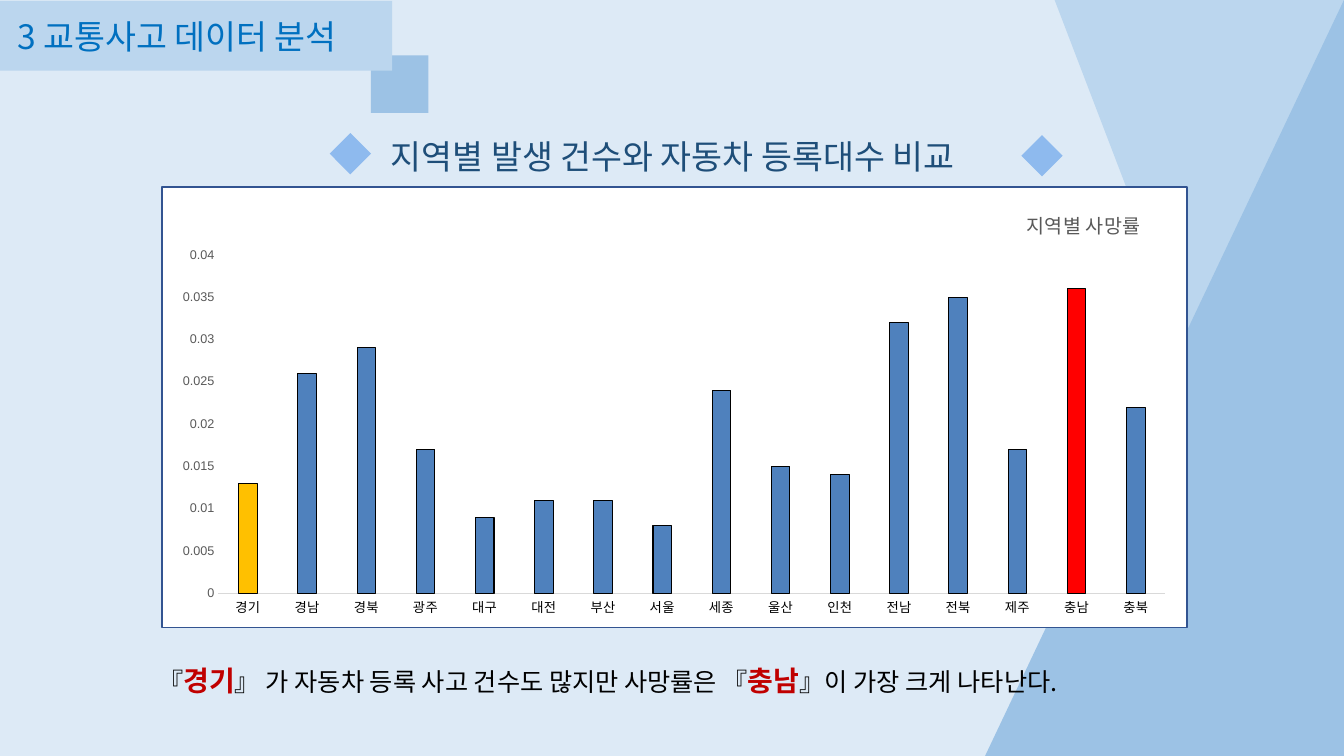
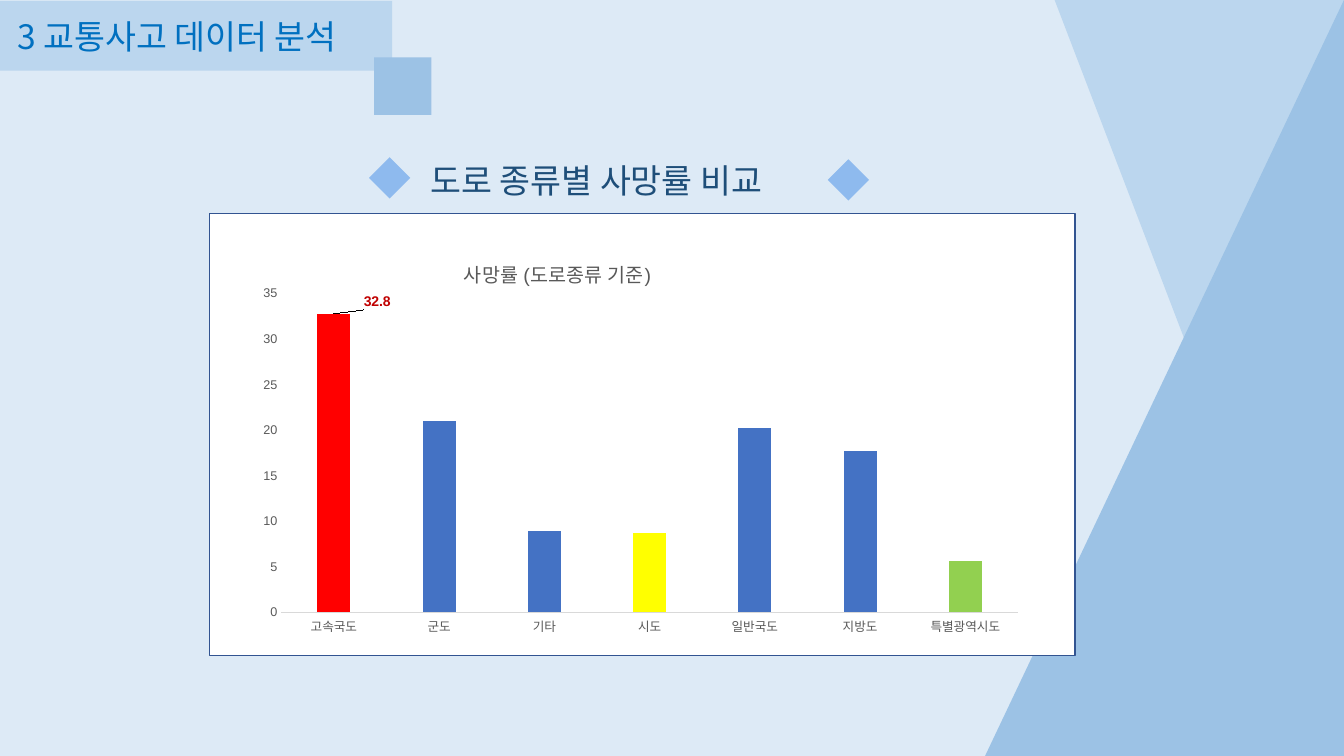
import lxml.etree
import pptx
import pptx.chart.data
import pptx.dml.color
import pptx.enum.chart
import pptx.enum.shapes
import pptx.enum.text
import pptx.oxml
import pptx.oxml.ns
import pptx.util

WIDTH, HEIGHT = 13.33, 7.5
BACKGROUND, PALE, MIDDLE, DIAMOND = "DDEAF6", "BBD6EE", "9CC2E5", "8EBAEE"
BANNER_TEXT, HEADING_TEXT, ACCENT = "0070C0", "1E4E79", "C00000"
BLACK, WHITE, GREY, AXIS_LINE, BORDER = "000000", "FFFFFF", "595959", "D9D9D9", "325491"
KOREAN, LATIN = "Noto Sans CJK KR", "Arial"
SHAPE = pptx.enum.shapes.MSO_SHAPE
SPACES = (
    'xmlns:c="http://schemas.openxmlformats.org/drawingml/2006/chart" '
    'xmlns:a="http://schemas.openxmlformats.org/drawingml/2006/main"'
)


def color(value):
    return pptx.dml.color.RGBColor.from_string(value)


def inches(*lengths):
    return [pptx.util.Inches(length) for length in lengths]


def style_font(font, size, fill, latin=LATIN, bold=False):
    font.size = pptx.util.Pt(size)
    font.bold = bold
    font.name = latin
    font.color.rgb = color(fill)


def add_span(para, text, size, fill, latin=KOREAN, bold=False):
    span = para.add_run()
    span.text = text
    style_font(span.font, size, fill, latin, bold)
    east_asian = lxml.etree.SubElement(span.font._element, pptx.oxml.ns.qn("a:ea"))
    east_asian.set("typeface", KOREAN)


def add_block(page, kind, box, fill, rotation=0):
    shape = page.shapes.add_shape(kind, *inches(*box))
    shape.shadow.inherit = False
    shape.fill.solid()
    shape.fill.fore_color.rgb = color(fill)
    shape.line.fill.background()
    shape.rotation = rotation
    return shape


def add_text(page, box, spans):
    frame = page.shapes.add_textbox(*inches(*box)).text_frame
    frame.word_wrap = True
    for span in spans:
        add_span(frame.paragraphs[0], *span)


def add_triangles(page):
    """Two right triangles that fill the right edge from top to bottom."""
    narrow, wide = 2.87, 3.56
    add_block(page, SHAPE.RIGHT_TRIANGLE, (WIDTH - narrow, 0, narrow, HEIGHT), PALE, 180)
    left = WIDTH - wide / 2 - HEIGHT / 2
    top = (HEIGHT - wide) / 2
    add_block(page, SHAPE.RIGHT_TRIANGLE, (left, top, HEIGHT, wide), MIDDLE, 270)


def add_banner(page):
    banner = add_block(page, SHAPE.RECTANGLE, (0, 0.01, 3.89, 0.69), PALE)
    frame = banner.text_frame
    frame.margin_left = pptx.util.Inches(0.17)
    frame.vertical_anchor = pptx.enum.text.MSO_ANCHOR.MIDDLE
    para = frame.paragraphs[0]
    para.alignment = pptx.enum.text.PP_ALIGN.LEFT
    add_span(para, "3 교통사고 데이터 분석", 24, BANNER_TEXT)


def add_square(page, left, top):
    add_block(page, SHAPE.RECTANGLE, (left, top, 0.57, 0.57), MIDDLE)


def add_heading(page, left, top, width, text):
    """A heading with a diamond at each end of its box."""
    size = 0.41
    add_block(page, SHAPE.DIAMOND, (left, top + 0.02, size, size), DIAMOND)
    add_text(page, (left + 0.51, top, width - 0.84, 0.5), [(text, 24, HEADING_TEXT, LATIN)])
    add_block(page, SHAPE.DIAMOND, (left + width - size, top + 0.04, size, size), DIAMOND)


def layout_xml(left, top, size=None, edge=True):
    """Manual chart layout, in shares of the chart's box."""
    parts = ['<c:layoutTarget val="inner"/>'] if size else []
    if edge:
        parts += ['<c:xMode val="edge"/>', '<c:yMode val="edge"/>']
    parts.append(f'<c:x val="{left}"/><c:y val="{top}"/>')
    if size:
        parts.append(f'<c:w val="{size[0]}"/><c:h val="{size[1]}"/>')
    return pptx.oxml.parse_xml(
        f"<c:layout {SPACES}><c:manualLayout>{''.join(parts)}</c:manualLayout></c:layout>"
    )


def set_layout(parent, index, layout):
    for old in parent.findall(pptx.oxml.ns.qn("c:layout")):
        parent.remove(old)
    parent.insert(index, layout)


def frame_chart(chart):
    chart._chartSpace.find(pptx.oxml.ns.qn("c:chart")).addnext(pptx.oxml.parse_xml(
        f'<c:spPr {SPACES}><a:solidFill><a:srgbClr val="{WHITE}"/></a:solidFill>'
        f'<a:ln w="12700"><a:solidFill><a:srgbClr val="{BORDER}"/></a:solidFill></a:ln></c:spPr>'
    ))


def style_axes(chart, top_value, step, category_size, category_fill):
    value_axis, category_axis = chart.value_axis, chart.category_axis
    value_axis.minimum_scale, value_axis.maximum_scale = 0, top_value
    value_axis.major_unit = step
    value_axis.has_major_gridlines = False
    value_axis.format.line.fill.background()
    category_axis.format.line.color.rgb = color(AXIS_LINE)
    category_axis.format.line.width = pptx.util.Pt(0.75)
    for axis in (value_axis, category_axis):
        axis.major_tick_mark = pptx.enum.chart.XL_TICK_MARK.NONE
    style_font(value_axis.tick_labels.font, 9, GREY)
    style_font(category_axis.tick_labels.font, category_size, category_fill)


def add_columns(page, box, title, title_at, plot_at, values, fill, highlights,
                top_value, step, category_size=9, category_fill=GREY, overlap=0):
    data = pptx.chart.data.CategoryChartData()
    data.categories = list(values)
    data.add_series("Series 1", list(values.values()))
    chart = page.shapes.add_chart(
        pptx.enum.chart.XL_CHART_TYPE.COLUMN_CLUSTERED, *inches(*box), data
    ).chart
    style_font(chart.font, 10, BLACK)
    frame_chart(chart)
    chart.has_legend = False
    chart.has_title = True
    add_span(chart.chart_title.text_frame.paragraphs[0], title, 14, GREY, LATIN)
    set_layout(chart.chart_title._element, 1, layout_xml(*title_at))
    set_layout(chart._chartSpace.chart.plotArea, 0, layout_xml(*plot_at))
    style_axes(chart, top_value, step, category_size, category_fill)
    plot = chart.plots[0]
    plot.vary_by_categories = False
    plot.gap_width = 219
    plot.overlap = overlap
    series = plot.series[0]
    series.format.fill.solid()
    series.format.fill.fore_color.rgb = color(fill)
    names = list(values)
    for name, highlight in highlights.items():
        point_fill = series.points[names.index(name)].format.fill
        point_fill.solid()
        point_fill.fore_color.rgb = color(highlight)
    return series


def outline_columns(series, count):
    for item in [series] + [series.points[index] for index in range(count)]:
        item.format.line.color.rgb = color(BLACK)
        item.format.line.width = pptx.util.Pt(0.75)


def label_first_column(series):
    """Show the first value beside its column, with a leader line."""
    series.data_labels.show_value = False
    label = series.points[0].data_label
    style_font(label.font, 10, ACCENT, bold=True)
    label.position = pptx.enum.chart.XL_LABEL_POSITION.OUTSIDE_END
    labels = series.data_labels._element
    set_layout(labels.find(pptx.oxml.ns.qn("c:dLbl")), 1, layout_xml(0.05, 0, edge=False))
    tag = pptx.oxml.ns.qn("c:showLeaderLines")
    leader = labels.find(tag)
    if leader is None:
        leader = lxml.etree.SubElement(labels, tag)
    leader.set("val", "1")


def new_page(deck):
    page = deck.slides.add_slide(deck.slide_layouts[6])
    page.background.fill.solid()
    page.background.fill.fore_color.rgb = color(BACKGROUND)
    return page


def build_region_page(deck):
    page = new_page(deck)
    add_square(page, 3.68, 0.55)
    add_triangles(page)
    add_banner(page)
    add_heading(page, 3.27, 1.3, 7.27, "지역별 발생 건수와 자동차 등록대수 비교")
    rates = {
        "경기": 0.013, "경남": 0.026, "경북": 0.029, "광주": 0.017,
        "대구": 0.009, "대전": 0.011, "부산": 0.011, "서울": 0.008,
        "세종": 0.024, "울산": 0.015, "인천": 0.014, "전남": 0.032,
        "전북": 0.035, "제주": 0.017, "충남": 0.036, "충북": 0.022,
    }
    series = add_columns(
        page, (1.6, 1.85, 10.18, 4.38), "지역별 사망률", (0.84, 0.04),
        (0.055, 0.154, (0.924, 0.769)), rates, "0070C0",
        {"경기": "FFC000", "충남": "FF0000"}, 0.04, 0.005, 9.5, BLACK,
    )
    outline_columns(series, len(rates))
    add_text(page, (1.47, 6.53, 9.76, 0.44), [
        ("『", 18, BLACK),
        ("경기", 20, ACCENT, KOREAN, True),
        ("』 가 자동차 등록 사고 건수도 많지만 사망률은 『", 18, BLACK),
        ("충남", 20, ACCENT, KOREAN, True),
        ("』이 가장 크게 나타난다.", 18, BLACK),
    ])


def build_road_page(deck):
    page = new_page(deck)
    add_banner(page)
    add_triangles(page)
    add_square(page, 3.71, 0.57)
    add_heading(page, 3.66, 1.54, 4.96, "도로 종류별 사망률 비교")
    rates = {
        "고속국도": 32.8, "군도": 21, "기타": 8.9, "시도": 8.7,
        "일반국도": 20.3, "지방도": 17.7, "특별광역시도": 5.6,
    }
    series = add_columns(
        page, (2.07, 2.11, 8.6, 4.4), "사망률 (도로종류 기준)", (0.29, 0.09),
        (0.083, 0.182, (0.851, 0.721)), rates, "4472C4",
        {"고속국도": "FF0000", "시도": "FFFF00", "특별광역시도": "92D050"},
        35, 5, overlap=-27,
    )
    label_first_column(series)


def main():
    deck = pptx.Presentation()
    deck.slide_width, deck.slide_height = inches(WIDTH, HEIGHT)
    build_region_page(deck)
    build_road_page(deck)
    deck.save("out.pptx")


if __name__ == "__main__":
    main()
